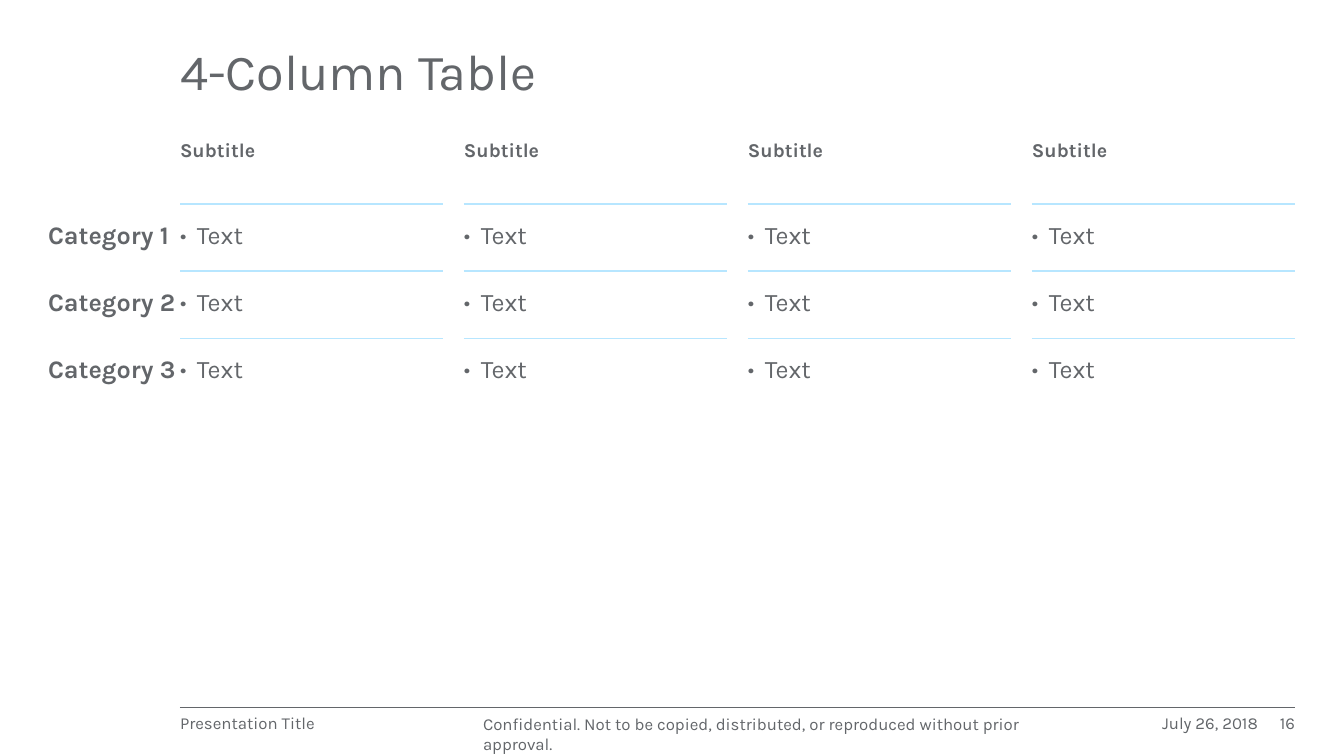
from lxml.etree import SubElement
from pptx import Presentation
from pptx.dml.color import RGBColor
from pptx.enum.shapes import MSO_CONNECTOR
from pptx.enum.text import MSO_ANCHOR, PP_ALIGN
from pptx.oxml import parse_xml
from pptx.oxml.ns import nsdecls, qn
from pptx.util import Emu, Pt

COLORS = {"text": "63666A", "rule": "B7E6FF"}
FONT = "Karla"
CONTENT_LEFT, CONTENT_WIDTH = 180, 1115
COLUMN_COUNT, COLUMN_WIDTH, GUTTER = 4, 263, 21
CATEGORY_WIDTH, ROW_HEIGHT = 132, 67
CATEGORIES = ["Category 1", "Category 2", "Category 3"]


def px(count):
    return Emu(round(count * 914400 / 100.8))


def write_text(frame, text, size=12, bold=False, align=PP_ALIGN.LEFT,
               spacing=1.0, bullet=None):
    paragraph = frame.paragraphs[0]
    paragraph.alignment = align
    paragraph.line_spacing = spacing
    run = paragraph.add_run()
    run.text = text
    run.font.name = FONT
    run.font.size = Pt(size)
    run.font.bold = bold
    run.font.color.rgb = RGBColor.from_string(COLORS["text"])
    if bullet:
        properties = paragraph._p.get_or_add_pPr()
        properties.set("marL", str(px(17)))
        properties.set("indent", str(-px(17)))
        SubElement(properties, qn("a:buSzPct"), val="91000")
        SubElement(properties, qn("a:buFont"), typeface=FONT)
        SubElement(properties, qn("a:buChar"), char=bullet)


def add_text(slide, box, text, anchor=MSO_ANCHOR.TOP, **text_format):
    frame = slide.shapes.add_textbox(*map(px, box)).text_frame
    frame.word_wrap = True
    frame.vertical_anchor = anchor
    frame.margin_left = frame.margin_right = 0
    frame.margin_top = frame.margin_bottom = 0
    write_text(frame, text, **text_format)


def set_borders(cell, ruled_sides):
    properties = cell._tc.get_or_add_tcPr()
    for position, side in enumerate("LRTB"):
        if side in ruled_sides:
            width = Pt(1.5)
            fill = (f'<a:solidFill><a:srgbClr val="{COLORS["rule"]}"/>'
                    '</a:solidFill>')
        else:
            width, fill = 0, "<a:noFill/>"
        properties.insert(position, parse_xml(
            f'<a:ln{side} {nsdecls("a")} w="{width}">{fill}</a:ln{side}>'))


def add_column_heads(slide, box):
    left, top, width, height = box
    for column in range(COLUMN_COUNT):
        head_left = left + column * (COLUMN_WIDTH + GUTTER)
        add_text(slide, (head_left, top, COLUMN_WIDTH, height), "Subtitle",
                 anchor=MSO_ANCHOR.BOTTOM, size=14, bold=True,
                 spacing=0.9 if column else 0.99)


def add_category_table(slide, box):
    widths = [CATEGORY_WIDTH] + [COLUMN_WIDTH, GUTTER] * COLUMN_COUNT
    widths.pop()  # no gutter after the last column
    table = slide.shapes.add_table(
        len(CATEGORIES), len(widths), *map(px, box)).table
    table.first_row = table.horz_banding = False
    for column, width in zip(table.columns, widths):
        column.width = px(width)
    for row_index, category in enumerate(CATEGORIES):
        table.rows[row_index].height = px(ROW_HEIGHT)
        is_last = row_index == len(CATEGORIES) - 1
        for column_index in range(len(widths)):
            cell = table.cell(row_index, column_index)
            cell.fill.background()
            cell.margin_left = cell.margin_right = 0
            cell.margin_top, cell.margin_bottom = px(17), px(20)
            is_content = column_index % 2 == 1
            ruled_sides = ("T" if is_last else "TB") if is_content else ""
            set_borders(cell, ruled_sides)
            if column_index == 0:
                write_text(cell.text_frame, category, size=18, bold=True)
            elif is_content:
                write_text(cell.text_frame, "Text", size=18, bullet="•")


def add_footer(slide, box):
    left, top, width, height = box
    right = left + width
    rule = slide.shapes.add_connector(
        MSO_CONNECTOR.STRAIGHT, px(left), px(top), px(right), px(top))
    rule.line.color.rgb = RGBColor.from_string(COLORS["text"])
    rule.line.width = Pt(0.25)
    SubElement(rule._element.spPr, qn("a:effectLst"))

    text_top, text_height = top + 7, height - 7
    entries = [
        (0, 296, "Presentation Title", PP_ALIGN.LEFT, 0.99),
        (303, 568, "Confidential. Not to be copied, distributed, or "
         "reproduced without prior approval.", PP_ALIGN.LEFT, 1.0),
        (871, 207, "July 26, 2018", PP_ALIGN.RIGHT, 0.99),
        (1078, 37, "16", PP_ALIGN.RIGHT, 0.99),
    ]
    for offset, entry_width, text, align, spacing in entries:
        add_text(slide, (left + offset, text_top, entry_width, text_height),
                 text, align=align, spacing=spacing)


def build_table_slide(presentation):
    slide = presentation.slides.add_slide(presentation.slide_layouts[6])
    # Title and column heads
    add_text(slide, (CONTENT_LEFT, 24, 992, 101), "4-Column Table",
             anchor=MSO_ANCHOR.MIDDLE, size=36, spacing=0.9)
    add_column_heads(slide, (CONTENT_LEFT, 125, CONTENT_WIDTH, 37))
    # Categories
    add_category_table(slide, (
        CONTENT_LEFT - CATEGORY_WIDTH, 204,
        CATEGORY_WIDTH + CONTENT_WIDTH, ROW_HEIGHT * len(CATEGORIES)))
    # Footer
    add_footer(slide, (CONTENT_LEFT, 707, CONTENT_WIDTH, 27))


def main():
    presentation = Presentation()
    presentation.slide_width, presentation.slide_height = px(1344), px(756)
    build_table_slide(presentation)
    presentation.save("out.pptx")


if __name__ == "__main__":
    main()
